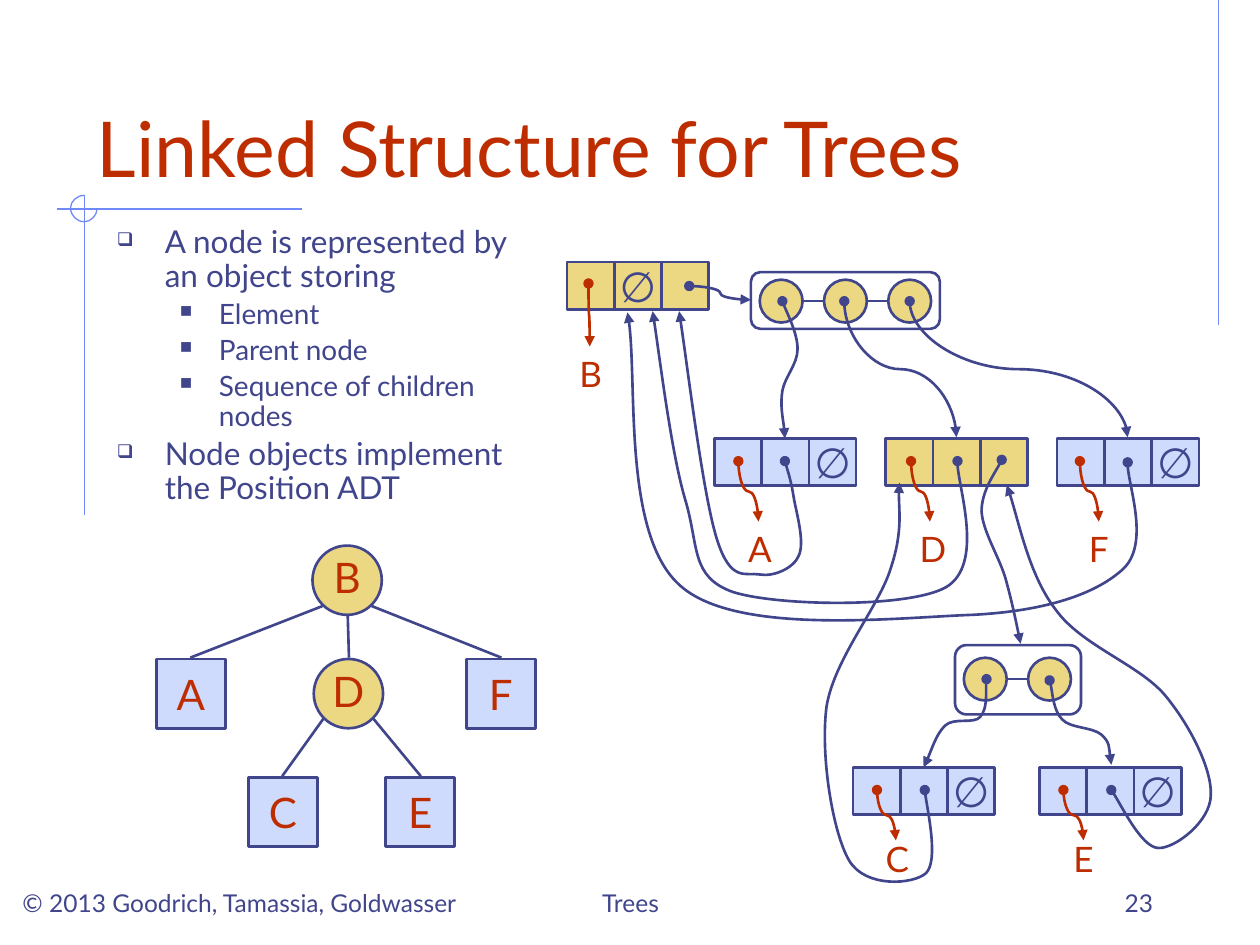
from lxml import etree
from pptx import Presentation
from pptx import util as u
from pptx.dml.color import RGBColor
from pptx.enum import shapes, text
from pptx.oxml import ns

INK, RED, GOLD, SKY, RULE = "40458C", "BE2D00", "ECD882", "CFDBFD", "6F89F7"
FONT = "Lato"
EMPTY = "∅"
CELL, NODE, DOT = 3.75, 5.5, 3.4
LEFT, CENTER, RIGHT = text.PP_ALIGN.LEFT, text.PP_ALIGN.CENTER, text.PP_ALIGN.RIGHT
RECT, OVAL, ROUND = (shapes.MSO_SHAPE.RECTANGLE, shapes.MSO_SHAPE.OVAL,
                     shapes.MSO_SHAPE.ROUNDED_RECTANGLE)


def color(value):
    return RGBColor.from_string(value)


class Board:
    """Slide on a grid of 100 columns by 75 rows, with its drawing style."""

    def __init__(self, deck):
        self.unit = deck.slide_width / 100
        self.items = deck.slides.add_slide(deck.slide_layouts[6]).shapes

    def grid(self, *lengths):
        return [u.Emu(round(length * self.unit)) for length in lengths]

    def stroke(self, item, ink, weight, arrow=False):
        item.line.color.rgb = color(ink)
        item.line.width = u.Pt(weight)
        if arrow:
            outline = item._element.spPr.find(ns.qn("a:ln"))
            etree.SubElement(outline, ns.qn("a:headEnd"), type="oval")
            etree.SubElement(outline, ns.qn("a:tailEnd"), type="triangle")

    def style(self, paragraph, size, ink, align):
        paragraph.alignment = align
        for run in paragraph.runs:
            run.font.name, run.font.size = FONT, u.Pt(size)
            run.font.color.rgb = color(ink)

    def shape(self, kind, box, fill=None, words="", ink=INK):
        item = self.items.add_shape(kind, *self.grid(*box))
        item.shadow.inherit = False
        if fill:
            item.fill.solid()
            item.fill.fore_color.rgb = color(fill)
        else:
            item.fill.background()
        self.stroke(item, INK, 1.5)
        if words:
            frame = item.text_frame
            frame.text, frame.word_wrap = words, False
            frame.vertical_anchor = text.MSO_ANCHOR.MIDDLE
            if kind == OVAL:
                frame.margin_left = frame.margin_right = frame.margin_top = 0
            self.style(frame.paragraphs[0], 24, ink, CENTER)

    def words(self, box, content, size, ink=INK, align=LEFT,
              anchor=text.MSO_ANCHOR.BOTTOM, wrap=True):
        frame = self.items.add_textbox(*self.grid(*box)).text_frame
        frame.text, frame.word_wrap, frame.vertical_anchor = content, wrap, anchor
        self.style(frame.paragraphs[0], size, ink, align)
        return frame

    def outline(self, box, entries):
        frame = self.words(box, "\n".join(words for _, words in entries), 18,
                           anchor=text.MSO_ANCHOR.TOP)
        looks = [(18, "❑", 0.38, 0.38), (16, "■", 0.81, 0.31)]
        for paragraph, (level, _) in zip(frame.paragraphs, entries):
            size, mark, margin, hang = looks[level]
            self.style(paragraph, size, INK, LEFT)
            paragraph.level = level
            paragraph.line_spacing = 0.9
            paragraph.space_before = u.Pt(size * 0.2)
            props = paragraph._p.get_or_add_pPr()
            props.set("marL", str(u.Inches(margin)))
            props.set("indent", str(-u.Inches(hang)))
            tint = etree.SubElement(props, ns.qn("a:buClr"))
            etree.SubElement(tint, ns.qn("a:srgbClr"), val=INK)
            etree.SubElement(props, ns.qn("a:buSzPct"), val="60000")
            etree.SubElement(props, ns.qn("a:buChar"), char=mark)

    def line(self, start, end, ink=INK, weight=1.5, curved=False):
        kind = shapes.MSO_CONNECTOR.CURVE if curved else shapes.MSO_CONNECTOR.STRAIGHT
        item = self.items.add_connector(kind, *self.grid(*start, *end))
        self.stroke(item, ink, weight, curved)
        etree.SubElement(item._element.spPr, ns.qn("a:effectLst"))
        return item

    def drop(self, start, end, ink=INK):
        """Curved arrow that leaves and arrives vertically, down to the right."""
        (x1, y1), (x2, y2) = start, end
        x, y, half_w, half_h = (x1 + x2) / 2, (y1 + y2) / 2, (y2 - y1) / 2, (x2 - x1) / 2
        item = self.line((x + half_w, y - half_h), (x - half_w, y + half_h), ink, curved=True)
        item.rotation = 270
        item._element.spPr.xfrm.set("rot", "16200000")

    def curve(self, points, ink=INK, weight=1.5, arrow=True):
        """Chain of Bezier pieces: a start, then three points for each piece."""
        start, *rest = [self.grid(*point) for point in points]
        builder = self.items.build_freeform(*start, scale=1.0)
        builder.add_line_segments(rest, close=False)
        item = builder.convert_to_shape()
        item.shadow.inherit = False
        item.fill.background()
        self.stroke(item, ink, weight, arrow)
        steps = list(item._element.iter(ns.qn("a:lnTo")))
        for first in range(0, len(steps), 3):
            piece = etree.Element(ns.qn("a:cubicBezTo"))
            steps[first].addprevious(piece)
            for step in steps[first:first + 3]:
                piece.append(step[0])
                step.getparent().remove(step)

    def record(self, col, row, fill, empty, letter, dot, tip, label_row):
        for index in range(3):
            self.shape(RECT, (col + index * CELL, row, CELL, CELL), fill,
                       EMPTY if index == empty else "")
        self.drop(dot, tip, RED)
        self.words((tip[0] - 1.8, label_row, 3.6, 4.3), letter, 20, RED, CENTER,
                   text.MSO_ANCHOR.TOP, wrap=False)

    def children(self, frame, col, row, count):
        self.shape(ROUND, frame)
        last = col + 5.1 * (count - 1)
        self.line((col + DOT, row + DOT / 2), (last, row + DOT / 2))
        for index in range(count):
            self.shape(OVAL, (col + 5.1 * index, row, DOT, DOT), GOLD)


def main():
    deck = Presentation()
    deck.slide_width, deck.slide_height = u.Inches(10), u.Inches(7.5)
    board = Board(deck)

    for start, end in [((96.7, 0), (96.7, 25.8)), ((24, 16.6), (4.5, 16.6)),
                       ((6.7, 15.5), (6.7, 40.9))]:
        board.line(start, end, RULE, 0.75)
    board.curve([(6.7, 15.5), (6.1, 15.5), (5.6, 16), (5.6, 16.5), (5.6, 17.1),
                 (6.1, 17.6), (6.7, 17.6), (7.2, 17.6), (7.7, 17.1), (7.7, 16.6)],
                RULE, 0.75, arrow=False)

    board.words((6.7, 3.3, 85, 12.5), "Linked Structure for Trees", 44, RED)
    board.outline((8.3, 17.5, 35, 23.3), [
        (0, "A node is represented by an object storing"),
        (1, "Element"), (1, "Parent node"), (1, "Sequence of children nodes"),
        (0, "Node objects implement the Position ADT")])
    board.words((0.8, 68.3, 39.2, 5), "© 2013 Goodrich, Tamassia, Goldwasser", 14)
    board.words((34.2, 68.3, 31.7, 5), "Trees", 14, align=CENTER)
    board.words((71.7, 68.3, 20.8, 5), "23", 14, align=RIGHT)

    for letter, col, row in [("B", 24.8, 43.3), ("D", 24.9, 52.3), ("A", 12.4, 52.3),
                             ("F", 37, 52.3), ("C", 19.7, 61.7), ("E", 30.6, 61.7)]:
        kind, fill = (OVAL, GOLD) if letter in "BD" else (RECT, SKY)
        board.shape(kind, (col, row, NODE, NODE), fill, letter, RED)
    for child, parent in [((33.4, 61.6), (29.6, 57)), ((22.4, 61.6), (25.7, 57)),
                          ((15.1, 52.2), (25.6, 48.1)), ((27.7, 52.2), (27.6, 48.9)),
                          ((39.8, 52.2), (29.5, 48.1))]:
        board.line(child, parent)

    board.children((59.6, 21.6, 15, 4.5), 60.3, 22.2, 3)
    board.children((75.8, 51.2, 10, 5.5), 76.5, 52.2, 2)
    for record in [
            (45, 20.8, GOLD, 1, "B", (46.7, 22.5), (46.8, 27.5), 27.5),
            (56.7, 34.8, SKY, 2, "A", (58.6, 36.6), (60.2, 41.4), 41.4),
            (70.3, 34.8, GOLD, None, "D", (72.3, 36.6), (73.8, 41.4), 41.4),
            (83.9, 34.8, SKY, 2, "F", (85.7, 36.6), (87.2, 41.4), 41.4),
            (67.7, 60.9, SKY, 2, "C", (69.6, 62.7), (71.1, 66.7), 66),
            (82.5, 60.9, SKY, 2, "E", (84.4, 62.7), (86, 66.7), 66)]:
        board.record(*record)

    board.line((54.7, 22.7), (59.6, 23.8), curved=True)
    board.drop((67, 23.9), (75.9, 34.7))
    board.drop((72.2, 23.9), (89.5, 34.7))
    for link in [
            [(62.1, 23.9), (62.3, 24.5), (63.3, 26.5), (63.3, 27.7), (63.3, 28.9),
             (62.3, 29.9), (62.1, 31), (61.9, 32.2), (62.3, 34), (62.3, 34.8)],
            [(79.5, 36.5), (79.2, 37.2), (77.9, 39), (77.9, 40.6), (78, 42.2),
             (79.3, 44.2), (79.8, 45.9), (80.3, 47.7), (80.8, 50.1), (81, 51.1)],
            [(78.3, 53.9), (78.2, 54.4), (78.4, 56.2), (77.8, 56.9), (77.3, 57.5),
             (75.7, 56.9), (75, 57.6), (74.3, 58.3), (73.7, 60.2), (73.3, 60.9)],
            [(83.3, 54), (83.5, 54.5), (83.6, 56.4), (84.3, 57.1), (84.9, 57.8),
             (86.7, 57.7), (87.4, 58.3), (88.1, 58.9), (88.1, 60.2), (88.2, 60.7)],
            [(62.3, 36.6), (62.4, 37), (62.8, 38.2), (63, 39.5), (63.2, 40.7),
             (63.9, 43), (63.4, 44.1), (63, 45.1), (61.4, 45.8), (60.3, 45.6),
             (59.2, 45.4), (58, 46.3), (56.9, 42.8), (55.8, 39.3), (54.5, 28.5), (53.9, 24.7)],
            [(76, 36.6), (75.9, 38.2), (78.1, 44.8), (75.1, 46.6), (72.1, 48.3),
             (61.7, 48.1), (58.2, 47), (54.8, 45.8), (55.5, 43.4), (54.4, 39.7),
             (53.3, 36), (52.3, 27.8), (51.8, 24.7)],
            [(89.5, 36.7), (89.4, 38.1), (91.2, 43.1), (89.2, 45.1), (87.1, 47.1),
             (83.1, 48.5), (77.2, 48.8), (71.3, 49), (58.5, 50.5), (54, 46.5),
             (49.4, 42.5), (50.7, 29.3), (49.8, 24.8)],
            [(73.4, 62.7), (73.5, 63.8), (74.5, 68.3), (73.5, 69.3), (72.5, 70.2),
             (68.7, 70.5), (67.4, 68.3), (66.1, 66.1), (65.1, 60), (65.6, 56.1),
             (66.2, 52.3), (69.8, 48.1), (70.7, 45.1), (71.7, 42.1), (71.2, 39.7), (71.4, 38.3)],
            [(88.2, 62.7), (88.8, 63.5), (90.6, 67.2), (91.9, 67.3), (93.2, 67.4),
             (96.1, 65.2), (96.1, 63.1), (96.2, 61.1), (94.5, 57.6), (92.4, 55.1),
             (90.3, 52.7), (85.8, 51.2), (83.8, 48.4), (81.7, 45.7), (80.7, 40.6), (79.9, 38.5)]]:
        board.curve(link)
    deck.save("out.pptx")


if __name__ == "__main__":
    main()
